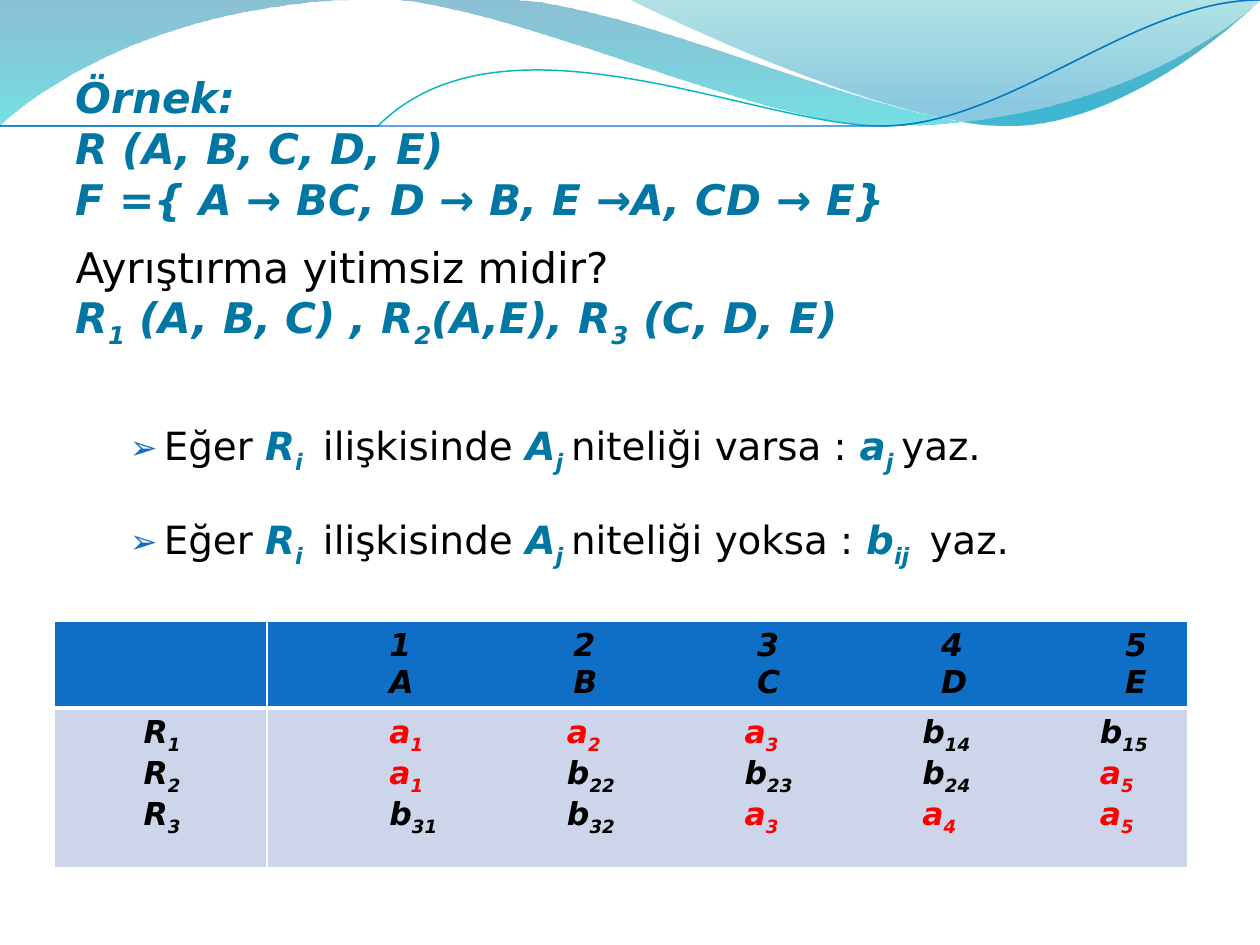
from lxml.etree import SubElement
from pptx import Presentation
from pptx.dml.color import RGBColor
from pptx.enum.text import MSO_AUTO_SIZE, MSO_ANCHOR
from pptx.oxml import parse_xml
from pptx.oxml.ns import nsdecls, qn
from pptx.util import Inches, Pt

FONT = "DejaVu Sans"
TEAL = RGBColor(0x00, 0x76, 0xA3)
BLACK = RGBColor(0, 0, 0)
RED = RGBColor(0xFF, 0, 0)
BLUE = RGBColor(0x0F, 0x6F, 0xC6)
AQUA = RGBColor(0x0A, 0xB8, 0xBF)
PALE = RGBColor(0xCC, 0xD5, 0xEA)

# Waves: start, then segments (2 numbers = line, 6 = Bezier curve)
# Gradient stops: position, colour, opacity in percent
FILLED_WAVES = [
    ([(0, 0), (4.4, -0.01), (4.76, 0.17, 6.64, 0.63, 7.58, 0.63),
      (8.53, 0.63, 9.58, 0.26, 10, 0.09), (10.01, 0.36),
      (9.83, 0.44, 8.7, 0.76, 7.46, 0.75), (6.22, 0.75, 3.82, 0.28, 2.57, 0.34),
      (1.29, 0.36, 0.46, 0.83, -0.01, 1.13)],
     [(0, RGBColor(0x00, 0x74, 0xA1), 45), (1, RGBColor(0x00, 0xC6, 0xCF), 55)]),
    ([(4.79, -0.01), (5.09, 0.11, 6.82, 0.62, 7.69, 0.65),
      (8.56, 0.69, 9.61, 0.32, 10, 0.21), (10, 0)],
     [(0, RGBColor(0x00, 0xA1, 0xA9), 30), (0.8, RGBColor(0x00, 0x8B, 0xBF), 45)]),
]
LINE_WAVES = [
    ([(0, 1.11), (0.48, 0.93, 1.58, 0.57, 2.77, 0.52),
      (3.95, 0.47, 5.93, 0.89, 7.13, 0.8), (8.33, 0.71, 9.38, 0.15, 9.98, -0.02)],
     AQUA, 0.85),
    ([(0, 1.04), (0.47, 0.96, 1.64, 0.61, 2.83, 0.56),
      (4.03, 0.51, 5.97, 0.84, 7.17, 0.75), (8.36, 0.67, 9.41, 0.21, 10, 0.06)],
     BLUE, 0.75),
]

# Text: | switches emphasis on and off, ~ switches subscript inside it
# (text, space before, space after, is a rule)
EXAMPLE = [
    ("|Örnek:|", 0, 0, False),
    ("|R (A, B, C, D, E)|", 0, 0, False),
    ("|F ={ A → BC, D → B, E →A, CD → E}|", 0, 10, False),
    ("Ayrıştırma yitimsiz midir?", 0, 0, False),
    ("|R~1~ (A, B, C) , R~2~(A,E), R~3~ (C, D, E)|", 0, 0, False),
    ("Eğer |R~i |~| ilişkisinde |A~j |niteliği varsa : |a~j |yaz.".replace("|~|", "|"),
     40, 10, True),
    ("Eğer |R~i | ilişkisinde |A~j |niteliği yoksa : |b~ij | yaz.", 12, 10, True),
]

HEADER = [["1", "2", "3", "4", "5"], ["A", "B", "C", "D", "E"]]
RELATIONS = ["R1", "R2", "R3"]
SYMBOLS = [
    ["a1", "a2", "a3", "b14", "b15"],
    ["a1", "b22", "b23", "b24", "a5"],
    ["b31", "b32", "a3", "a4", "a5"],
]
FIRST_STOP, HEADER_STEP, SYMBOL_STEP, RELATION_STOP = 0.87, 1.46, 1.41, 0.61


def add_wave(shapes, segments):
    """Draw an outline; the points of each curve become one Bezier segment."""
    points = [pair for s in segments for pair in zip(s[::2], s[1::2])]
    builder = shapes.build_freeform(*points[0], scale=Inches(1))
    builder.add_line_segments(points[1:], close=False)
    wave = builder.convert_to_shape()
    wave.shadow.inherit = False
    outline = wave._element.xpath(".//a:path")[0]
    steps = iter(outline.findall(qn("a:lnTo")))
    for segment in segments[1:]:
        if len(segment) == 2:
            next(steps)
            continue
        curve = SubElement(outline, qn("a:cubicBezTo"))
        first = next(steps)
        first.addprevious(curve)
        for step in (first, next(steps), next(steps)):
            curve.append(step[0])
            outline.remove(step)
    return wave


def add_run(paragraph, text, size, color, emphasis=True, subscript=False):
    run = paragraph.add_run()
    run.text = text
    font = run.font
    font.name, font.size = FONT, Pt(size)
    font.bold = font.italic = emphasis
    font.color.rgb = color
    if subscript:
        font._element.set("baseline", "-25000")


def add_marked_text(paragraph, text, size):
    for i, part in enumerate(text.split("|")):
        for j, piece in enumerate(part.split("~")):
            if piece:
                add_run(paragraph, piece, size, TEAL if i % 2 else BLACK,
                        bool(i % 2), bool(j % 2))


def set_bullet(paragraph, is_rule):
    props = paragraph._p.get_or_add_pPr()
    props.set("marL", str(Inches(0.7 if is_rule else 0)))
    props.set("indent", str(Inches(-0.27 if is_rule else 0)))
    if not is_rule:
        SubElement(props, qn("a:buNone"))
        return
    color = SubElement(props, qn("a:buClr"))
    SubElement(color, qn("a:srgbClr"), val=str(BLUE))
    SubElement(props, qn("a:buSzPct"), val="85000")
    SubElement(props, qn("a:buFont"), typeface=FONT)
    SubElement(props, qn("a:buChar"), char="➢")


def fill_cell(cell, rows, stops):
    """Write one paragraph a row, each entry at its own tab stop."""
    frame = cell.text_frame
    for i, row in enumerate(rows):
        paragraph = frame.paragraphs[0] if i == 0 else frame.add_paragraph()
        tabs = SubElement(paragraph._p.get_or_add_pPr(), qn("a:tabLst"))
        for stop in stops:
            SubElement(tabs, qn("a:tab"), pos=str(Inches(stop)), algn="l")
        for entry in row:
            color = RED if entry[0] == "a" else BLACK
            add_run(paragraph, "\t" + entry[0], 18, color)
            if entry[1:]:
                add_run(paragraph, entry[1:], 18, color, subscript=True)


def style_cell(cell, color, bottom):
    cell.fill.solid()
    cell.fill.fore_color.rgb = color
    cell.vertical_anchor = MSO_ANCHOR.TOP
    props = cell._tc.get_or_add_tcPr()
    for i, (side, width) in enumerate([("L", 1), ("R", 1), ("T", 1), ("B", bottom)]):
        props.insert(i, parse_xml(
            f'<a:ln{side} {nsdecls("a")} w="{Pt(width)}"><a:solidFill>'
            f'<a:srgbClr val="FFFFFF"/></a:solidFill></a:ln{side}>'))


def main():
    prs = Presentation()
    prs.slide_width, prs.slide_height = Inches(10), Inches(7.5)
    slide = prs.slides.add_slide(prs.slide_layouts[1])
    heading = slide.shapes.title._element
    heading.getparent().remove(heading)
    example = slide.placeholders[1]

    # Wave decoration, behind the text
    for segments, stops in FILLED_WAVES:
        wave = add_wave(slide.shapes, segments)
        wave.line.fill.background()
        wave.fill.gradient()
        wave.fill.gradient_angle = 270
        for stop, (position, color, opacity) in zip(wave.fill.gradient_stops, stops):
            stop.position, stop.color.rgb = position, color
        for tint, (_, _, opacity) in zip(wave._element.xpath(".//a:gs/a:srgbClr"), stops):
            SubElement(tint, qn("a:alpha"), val=str(opacity * 1000))
    for segments, color, width in LINE_WAVES:
        wave = add_wave(slide.shapes, segments)
        wave.fill.background()
        wave.line.color.rgb, wave.line.width = color, Pt(width)

    # Example text
    slide.shapes._spTree.append(example._element)
    example.left, example.top = Inches(0.5), Inches(0.52)
    example.width, example.height = Inches(9), Inches(3.94)
    frame = example.text_frame
    frame.auto_size, frame.vertical_anchor = MSO_AUTO_SIZE.NONE, MSO_ANCHOR.TOP
    for i, (text, before, after, is_rule) in enumerate(EXAMPLE):
        paragraph = frame.paragraphs[0] if i == 0 else frame.add_paragraph()
        paragraph.level = int(is_rule)
        paragraph.line_spacing = 1.05 if is_rule else 1.0
        paragraph.space_before, paragraph.space_after = Pt(before), Pt(after)
        set_bullet(paragraph, is_rule)
        add_marked_text(paragraph, text, 22.2 if is_rule else 24.1)

    # Decomposition table
    table = slide.shapes.add_table(2, 2, Inches(0.43), Inches(4.93),
                                   Inches(9), Inches(1.96)).table
    table.columns[0].width, table.columns[1].width = Inches(1.69), Inches(7.31)
    table.rows[0].height, table.rows[1].height = Inches(0.69), Inches(1.27)
    header_stops, symbol_stops = ([FIRST_STOP + step * i for i in range(5)]
                                  for step in (HEADER_STEP, SYMBOL_STEP))
    fill_cell(table.cell(0, 1), HEADER, header_stops)
    fill_cell(table.cell(1, 0), [[name] for name in RELATIONS], [RELATION_STOP])
    fill_cell(table.cell(1, 1), SYMBOLS, symbol_stops)
    for column in range(2):
        style_cell(table.cell(0, column), BLUE, 3)
        style_cell(table.cell(1, column), PALE, 1)

    prs.save("out.pptx")


if __name__ == "__main__":
    main()
